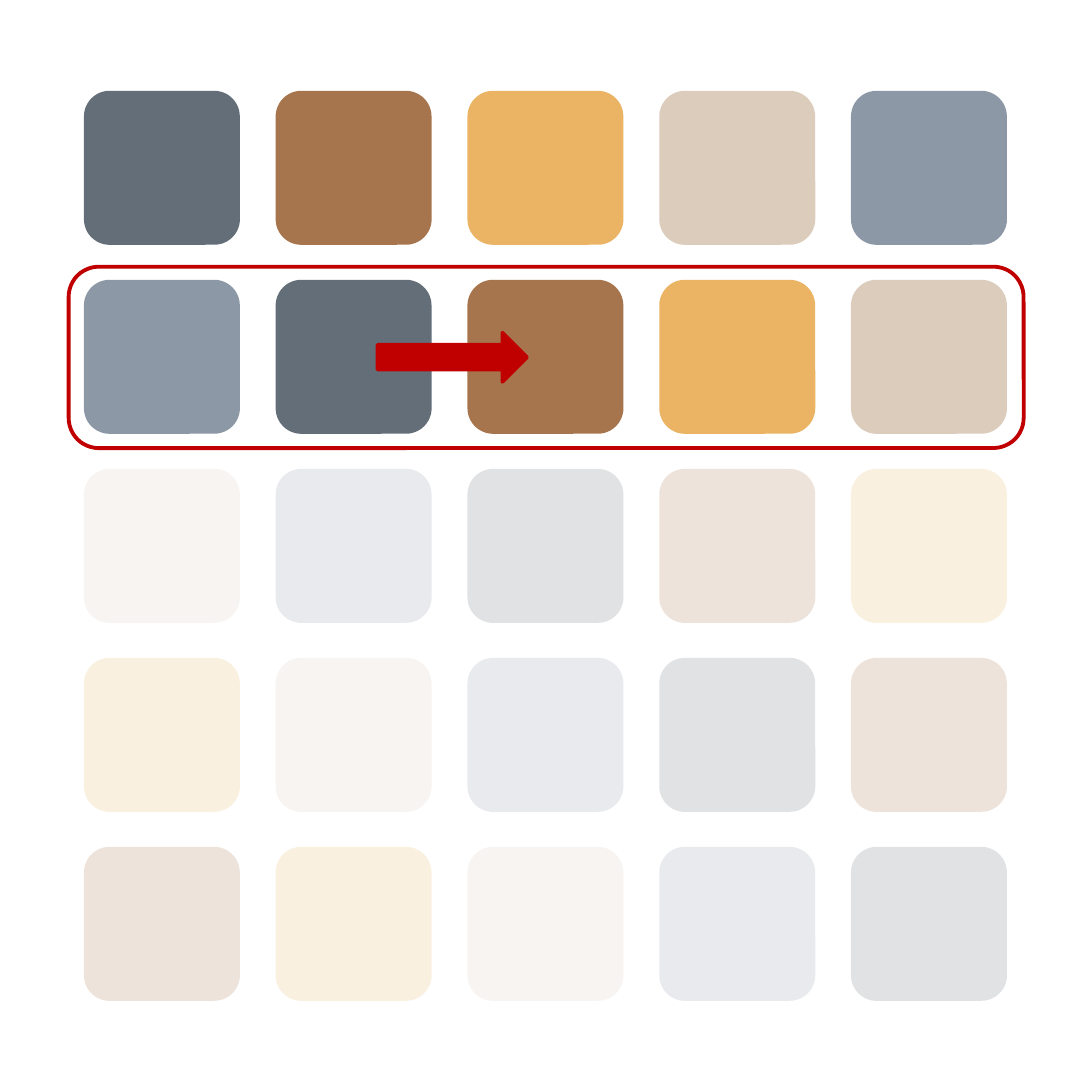
from lxml import etree
from pptx import Presentation
from pptx import util as u
from pptx.dml.color import RGBColor
from pptx.enum import shapes
from pptx.oxml import ns

COLOURS = {
    "slate": "646E78",
    "brown": "A7754D",
    "amber": "EAB464",
    "sand": "DCCCBB",
    "blue": "8D98A7",
    "red": "C00000",
    "white": "FFFFFF",
}
PALETTE = ["slate", "brown", "amber", "sand", "blue"]
SOLID_ROWS = 2
FADED_ALPHA = 20  # percent


class PaletteGrid:
    """Draws on one slide; positions and sizes are in grid columns and rows."""

    side = 3.94
    left, top = 0.303, 0.328
    column, row = 0.692, 0.682
    tile_size = (0.563 / column, 0.556 / row)

    def __init__(self):
        self.deck = Presentation()
        self.deck.slide_width = self.deck.slide_height = u.Inches(self.side)
        self.page = self.deck.slides.add_slide(self.deck.slide_layouts[6])
        background = self.page.background.fill
        background.solid()
        background.fore_color.rgb = self.colour("white")

    def colour(self, name):
        return RGBColor.from_string(COLOURS[name])

    def shape(self, kind, col, row, width, height, fill=None, line=None):
        box = self.page.shapes.add_shape(
            kind,
            u.Inches(self.left + col * self.column),
            u.Inches(self.top + row * self.row),
            u.Inches(width * self.column),
            u.Inches(height * self.row),
        )
        box.shadow.inherit = False
        if fill:
            box.fill.solid()
            box.fill.fore_color.rgb = self.colour(fill)
        else:
            box.fill.background()
        if line:
            box.line.color.rgb = self.colour(line)
            box.line.width = u.Pt(1)
        else:
            box.line.fill.background()
        return box

    def tile(self, col, row, fill, alpha=100):
        box = self.shape(shapes.MSO_SHAPE.ROUNDED_RECTANGLE, col, row,
                         *self.tile_size, fill=fill)
        if alpha < 100:
            tint = box.fill._xPr.find(".//" + ns.qn("a:srgbClr"))
            etree.SubElement(tint, ns.qn("a:alpha"), val=str(alpha * 1000))

    def frame(self, col, row, width, height, line):
        self.shape(shapes.MSO_SHAPE.ROUNDED_RECTANGLE, col, row,
                   width, height, line=line)

    def arrow(self, col, row, width, height, colour):
        self.shape(shapes.MSO_SHAPE.RIGHT_ARROW, col, row,
                   width, height, fill=colour, line=colour)


def main():
    grid = PaletteGrid()
    count = len(PALETTE)

    # Tiles: each row is the one above, shifted one place to the right
    for row in range(count):
        alpha = 100 if row < SOLID_ROWS else FADED_ALPHA
        for col in range(count):
            grid.tile(col, row, PALETTE[(col - row) % count], alpha)

    # Highlight of the second row and its direction of shift
    grid.frame(-0.08, 0.93, 4.98, 0.96, "red")
    grid.arrow(1.53, 1.28, 0.78, 0.26, "red")

    grid.deck.save("out.pptx")


if __name__ == "__main__":
    main()
